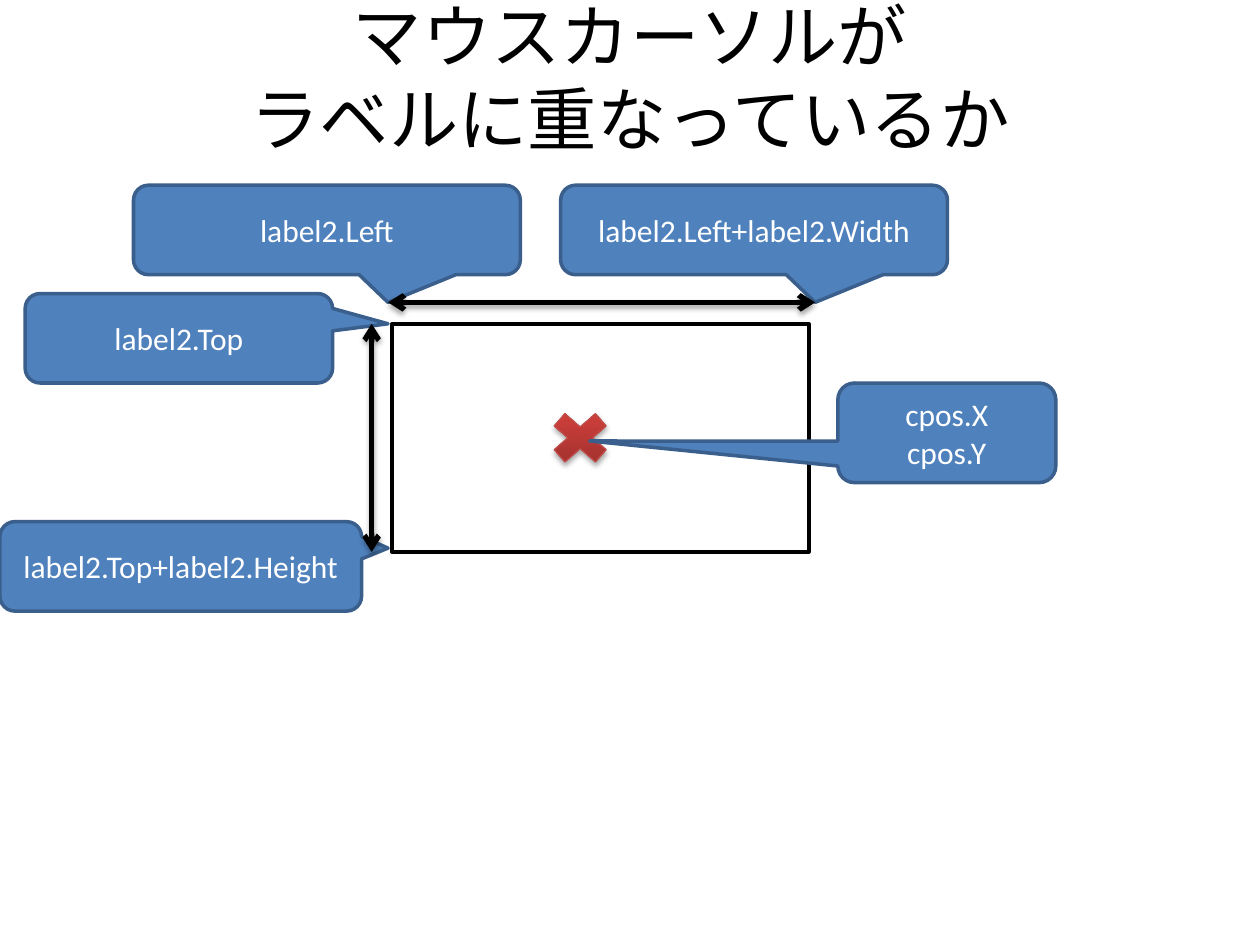
from copy import deepcopy
from dataclasses import dataclass
from lxml.etree import SubElement
from pptx import Presentation
from pptx.dml.color import RGBColor
from pptx.enum.shapes import MSO_CONNECTOR, MSO_SHAPE
from pptx.enum.text import MSO_ANCHOR, PP_ALIGN
from pptx.oxml.ns import qn
from pptx.util import Inches, Pt


@dataclass(frozen=True)
class Theme:
    font: str = "Calibri"
    title_size: float = 39.6
    label_size: float = 18
    black: str = "000000"
    white: str = "FFFFFF"
    blue: str = "4F81BD"
    blue_edge: str = "3A5F8C"
    red_edge: str = "BF4C48"
    red_stops: tuple = ((0, "9C2F2D"), (0.8, "CB3E3A"), (1, "CE3B37"))


THEME = Theme()


def color(value):
    return RGBColor.from_string(value)


def style_text(frame, size, ink):
    frame.word_wrap = True
    frame.vertical_anchor = MSO_ANCHOR.MIDDLE
    for para in frame.paragraphs:
        para.alignment = PP_ALIGN.CENTER
        para.font.name = THEME.font
        para.font.size = Pt(size)
        para.font.color.rgb = color(ink)


def add_box(page, kind, box, edge, width, fill=None):
    shape = page.shapes.add_shape(kind, *map(Inches, box))
    shape.shadow.inherit = False
    shape.line.color.rgb = color(edge)
    shape.line.width = Pt(width)
    if fill:
        shape.fill.solid()
        shape.fill.fore_color.rgb = color(fill)
    return shape


def add_shadow(shape):
    properties = shape._element.spPr
    effects = properties.find(qn("a:effectLst"))
    if effects is None:
        effects = SubElement(properties, qn("a:effectLst"))
    shadow = SubElement(effects, qn("a:outerShdw"), blurRad=str(Pt(3.1)),
                        dist=str(Pt(1.8)), dir="5400000", rotWithShape="0")
    ink = SubElement(shadow, qn("a:srgbClr"), val=THEME.black)
    SubElement(ink, qn("a:alpha"), val="35000")


def add_title(page, box, text):
    title = page.shapes.title
    title.left, title.top, title.width, title.height = map(Inches, box)
    title.text_frame.text = text
    style_text(title.text_frame, THEME.title_size, THEME.black)


def add_callout(page, box, tip, text):
    """Draw a callout whose pointer ends at tip, given in slide inches."""
    left, top, width, height = box
    callout = add_box(page, MSO_SHAPE.ROUNDED_RECTANGULAR_CALLOUT, box,
                      THEME.blue_edge, 2, THEME.blue)
    callout.adjustments[0] = (tip[0] - left) / width - 0.5
    callout.adjustments[1] = (tip[1] - top) / height - 0.5
    callout.text_frame.text = text
    style_text(callout.text_frame, THEME.label_size, THEME.white)


def add_span_arrow(page, start, end):
    arrow = page.shapes.add_connector(MSO_CONNECTOR.STRAIGHT,
                                      *map(Inches, start + end))
    arrow.line.color.rgb = color(THEME.black)
    arrow.line.width = Pt(3)
    for tag in ("a:headEnd", "a:tailEnd"):
        SubElement(arrow.line._get_or_add_ln(), qn(tag), type="arrow")
    add_shadow(arrow)


def add_cursor_mark(page, box):
    mark = add_box(page, MSO_SHAPE.MATH_MULTIPLY, box, THEME.red_edge, 0.75)
    mark.fill.gradient()
    mark.fill.gradient_angle = 90
    stop_list = mark._element.spPr.find(qn("a:gradFill")).find(qn("a:gsLst"))
    stop_list.append(deepcopy(stop_list[-1]))
    for stop, (position, value) in zip(mark.fill.gradient_stops, THEME.red_stops):
        stop.position = position
        stop.color.rgb = color(value)
    add_shadow(mark)


def add_label_diagram(page, box):
    """Draw the label rectangle with its extents and the cursor position."""
    left, top, width, height = box
    right, bottom = left + width, top + height
    span_left, span_right, span_y = left - 0.03, right + 0.05, top - 0.17
    span_x = left - 0.16
    cursor = (left + 1.57, top + 0.93)

    add_box(page, MSO_SHAPE.RECTANGLE, box, THEME.black, 2, THEME.white)
    add_cursor_mark(page, (left + 1.18, top + 0.63, 0.63, 0.55))

    # Horizontal extent
    for tip_x, text in ((span_left, "label2.Left"),
                        (span_right, "label2.Left+label2.Width")):
        add_callout(page, (tip_x - 2.02, top - 1.1, 3.07, 0.71),
                    (tip_x, span_y), text)
    add_span_arrow(page, (span_left, span_y), (span_right, span_y))

    # Vertical extent
    add_callout(page, (left - 2.91, top - 0.24, 2.44, 0.71),
                (span_left, top), "label2.Top")
    add_callout(page, (left - 3.11, bottom - 0.24, 2.87, 0.71),
                (span_left, bottom - 0.03), "label2.Top+label2.Height")
    add_span_arrow(page, (span_x, top), (span_x, bottom))

    # Cursor position
    add_callout(page, (right + 0.23, top + 0.47, 1.73, 0.79), cursor,
                "cpos.X\ncpos.Y")


deck = Presentation()
deck.slide_width, deck.slide_height = Inches(10), Inches(7.5)
page = deck.slides.add_slide(deck.slide_layouts[5])
add_title(page, (0.5, 0.21, 9, 0.79), "マウスカーソルが\vラベルに重なっているか")
add_label_diagram(page, (3.11, 2.57, 3.31, 1.81))
deck.save("out.pptx")
